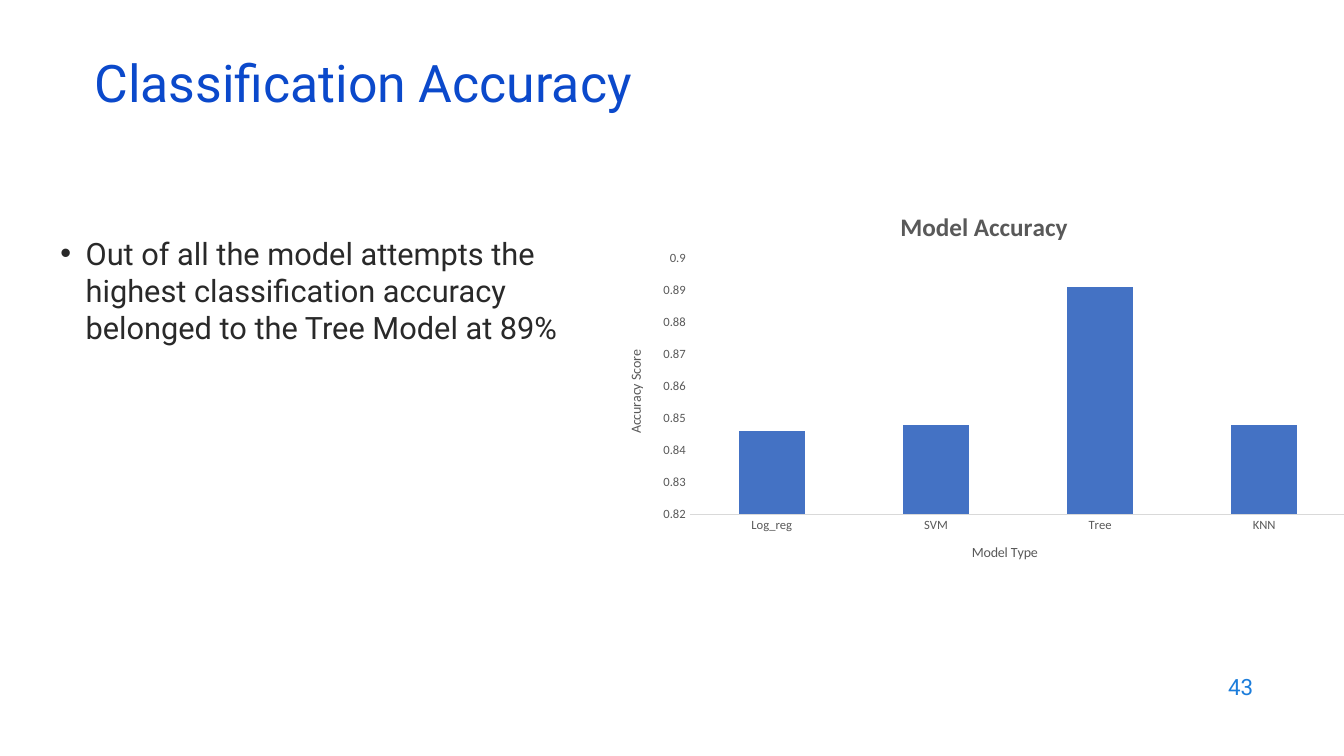
from lxml.etree import SubElement
from pptx import Presentation
from pptx.chart.data import CategoryChartData
from pptx.dml.color import RGBColor
from pptx.enum.chart import XL_CHART_TYPE, XL_TICK_MARK
from pptx.enum.text import MSO_ANCHOR, PP_ALIGN
from pptx.oxml import parse_xml
from pptx.oxml.ns import nsdecls, qn
from pptx.util import Cm, Pt

COLORS = {
    "title": "0B49CB",
    "body": "292929",
    "page": "1C7DDB",
    "bar": "4472C4",
    "label": "595959",
    "line": "D9D9D9",
}
SCORES = {"Log_reg": 0.846, "SVM": 0.848, "Tree": 0.891, "KNN": 0.848}


def style(font, size, color, name="Roboto", bold=False):
    """Set the look of a font."""
    font.size = Pt(size)
    font.name = name
    font.bold = bold
    font.color.rgb = RGBColor.from_string(COLORS[color])


def add_text(slide, box, text, size, color, anchor=MSO_ANCHOR.MIDDLE):
    """Add a wrapped text box and return its paragraph."""
    frame = slide.shapes.add_textbox(*map(Cm, box)).text_frame
    frame.word_wrap = True
    frame.vertical_anchor = anchor
    frame.text = text
    para = frame.paragraphs[0]
    style(para.runs[0].font, size, color)
    return para


def add_bullet(para):
    """Give a paragraph a round bullet and a hanging indent."""
    props = para._p.get_or_add_pPr()
    props.set("marL", str(Cm(0.64)))
    props.set("indent", str(-Cm(0.64)))
    SubElement(props, qn("a:buFont")).set("typeface", "Arial")
    SubElement(props, qn("a:buChar")).set("char", "•")


def set_title(owner, text, size, bold=False):
    """Title a chart or an axis."""
    frame = (owner.chart_title if hasattr(owner, "chart_title") else owner.axis_title).text_frame
    frame.text = text
    style(frame.paragraphs[0].runs[0].font, size, "label", "Calibri", bold)


def set_axis(axis, text):
    """Title an axis and strip its ticks and grid."""
    axis.has_major_gridlines = False
    axis.major_tick_mark = axis.minor_tick_mark = XL_TICK_MARK.NONE
    style(axis.tick_labels.font, 9, "label", "Calibri")
    set_title(axis, text, 10)


def set_plot(chart, left, top, width, height):
    """Fix the inner plot area as shares of the chart."""
    area = chart._chartSpace.chart.plotArea
    for old in area.findall(qn("c:layout")):
        area.remove(old)
    area.insert(0, parse_xml(
        f'<c:layout {nsdecls("c")}><c:manualLayout><c:layoutTarget val="inner"/>'
        '<c:xMode val="edge"/><c:yMode val="edge"/>'
        f'<c:x val="{left}"/><c:y val="{top}"/><c:w val="{width}"/><c:h val="{height}"/>'
        '</c:manualLayout></c:layout>'))


def add_bars(slide, box):
    """Add the chart of model scores."""
    data = CategoryChartData(number_format="General")
    data.categories = list(SCORES)
    data.add_series("Series 1", list(SCORES.values()))
    chart = slide.shapes.add_chart(XL_CHART_TYPE.COLUMN_STACKED, *map(Cm, box), data).chart
    style(chart.font, 10, "label", "Calibri")
    chart.has_legend = False
    set_title(chart, "Model Accuracy", 18, True)
    set_axis(chart.category_axis, "Model Type")
    set_axis(chart.value_axis, "Accuracy Score")
    base = chart.category_axis.format.line
    base.color.rgb = RGBColor.from_string(COLORS["line"])
    base.width = Pt(0.75)
    scale = chart.value_axis
    scale.format.line.fill.background()
    scale.minimum_scale, scale.maximum_scale, scale.major_unit = 0.82, 0.9, 0.01
    plot = chart.plots[0]
    plot.gap_width, plot.overlap, plot.vary_by_categories = 150, 100, False
    fill = plot.series[0].format.fill
    fill.solid()
    fill.fore_color.rgb = RGBColor.from_string(COLORS["bar"])
    set_plot(chart, 0.11, 0.17, 0.87, 0.65)


def main():
    """Build the slide and save it."""
    deck = Presentation()
    deck.slide_width, deck.slide_height = Cm(33.87), Cm(19.05)
    slide = deck.slides.add_slide(deck.slide_layouts[6])
    title = add_text(slide, (2.13, 1.5, 29.21, 1.52), "Classification Accuracy", 37, "title")
    title.line_spacing = 0.7
    body = add_text(
        slide, (1.27, 5.79, 14.78, 10.59),
        "Out of all the model attempts the highest classification accuracy "
        "belonged to the Tree Model at 89%",
        22, "body", MSO_ANCHOR.TOP)
    add_bullet(body)
    add_bars(slide, (15.29, 4.83, 19.02, 9.91))
    page = add_text(slide, (24.21, 16.74, 7.62, 1.12), "43", 16, "page")
    page.alignment = PP_ALIGN.RIGHT
    deck.save("out.pptx")


if __name__ == "__main__":
    main()
